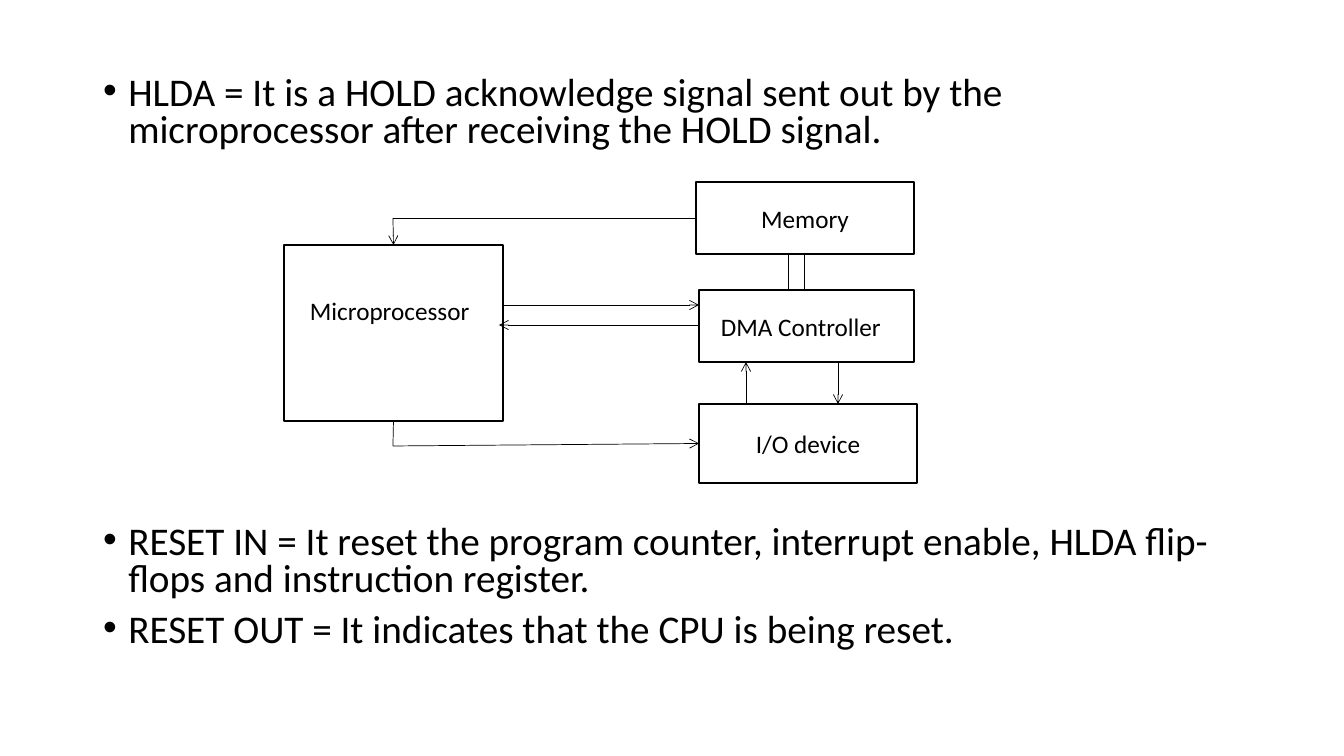
from lxml.etree import SubElement
from pptx import Presentation
from pptx.dml.color import RGBColor
from pptx.enum.shapes import MSO_CONNECTOR as Connector, MSO_SHAPE as Shape
from pptx.enum.text import MSO_ANCHOR as Anchor, MSO_AUTO_SIZE as AutoSize, PP_ALIGN as Align
from pptx.oxml.ns import qn
from pptx.util import Emu, Pt

EMU_PER_PX = 914400 / 100.8
FONT = "Calibri"
COLORS = {"ink": "000000", "paper": "FFFFFF"}
TOP, LEFT, BOTTOM = 0, 1, 2

# Text and space before in points; the large space leaves room for the diagram.
SIGNALS = [
    ("HLDA = It is a HOLD acknowledge signal sent out by the microprocessor "
     "after receiving the HOLD signal.", 0),
    ("RESET IN = It reset the program counter, interrupt enable, HLDA "
     "flip-flops and instruction register.", 267),
    ("RESET OUT = It indicates that the CPU is being reset.", 9),
]


def px(value):
    return Emu(round(value * EMU_PER_PX))


def color(name):
    return RGBColor.from_string(COLORS[name])


def format_runs(paragraph, size):
    for run in paragraph.runs:
        run.font.name = FONT
        run.font.size = Pt(size)
        run.font.color.rgb = color("ink")


def fill_body(body):
    body.left, body.top, body.width, body.height = px(93), px(71), px(1159), px(610)
    frame = body.text_frame
    frame.auto_size = AutoSize.NONE
    frame.text = "\n".join(text for text, _ in SIGNALS)
    for paragraph, (_, space) in zip(frame.paragraphs, SIGNALS):
        paragraph.line_spacing = 0.8
        paragraph.space_before = Pt(space)
        properties = paragraph._p.get_or_add_pPr()
        properties.set("marL", "228600")
        properties.set("indent", "-228600")
        format_runs(paragraph, 28)


def add_block(slide, label, left, top, width, height):
    block = slide.shapes.add_shape(Shape.RECTANGLE, px(left), px(top), px(width), px(height))
    block.shadow.inherit = False
    block.fill.solid()
    block.fill.fore_color.rgb = color("paper")
    block.line.color.rgb = color("ink")
    block.line.width = Pt(1)
    frame = block.text_frame
    frame.text = label
    frame.vertical_anchor = Anchor.MIDDLE
    frame.paragraphs[0].alignment = Align.CENTER
    format_runs(frame.paragraphs[0], 18)
    return block


def offset_label(block, left, top=None):
    """Left-align the label at the given inset, hung from the top if one is given."""
    frame = block.text_frame
    frame.paragraphs[0].alignment = Align.LEFT
    frame.margin_left = px(left)
    frame.margin_right = 0
    if top is not None:
        frame.vertical_anchor = Anchor.TOP
        frame.margin_top = px(top)


def add_wire(slide, start, end, arrow=False, begin_at=None, end_at=None):
    """Draw a line; begin_at and end_at are (block, side) pairs to join."""
    wire = slide.shapes.add_connector(Connector.STRAIGHT, *map(px, start + end))
    if begin_at:
        wire.begin_connect(*begin_at)
    if end_at:
        wire.end_connect(*end_at)
    wire.line.color.rgb = color("ink")
    wire.line.width = Pt(0.5)
    if arrow:
        SubElement(wire.line._get_or_add_ln(), qn("a:tailEnd"), type="arrow")
    SubElement(wire._element.spPr, qn("a:effectLst"))


def add_diagram(slide):
    processor = add_block(slide, "Microprocessor", 284, 245, 219, 176)
    device = add_block(slide, "I/O device", 699, 404, 218, 79)
    controller = add_block(slide, "DMA Controller", 699, 290, 215, 72)
    memory = add_block(slide, "Memory", 696, 182, 218, 72)
    offset_label(processor, 26, 50)
    offset_label(controller, 22)

    add_wire(slide, (503, 305), (699, 305), arrow=True)
    add_wire(slide, (699, 325), (499, 325), arrow=True)
    add_wire(slide, (838, 362), (838, 404), arrow=True)
    add_wire(slide, (746, 404), (746, 362), arrow=True)
    for bus_x in (788, 804):
        add_wire(slide, (bus_x, 254), (bus_x, 290))

    memory_corner, device_corner = (393, 218), (393, 446)
    add_wire(slide, (696, 218), memory_corner, begin_at=(memory, LEFT))
    add_wire(slide, memory_corner, (393, 245), arrow=True, end_at=(processor, TOP))
    add_wire(slide, (393, 421), device_corner, begin_at=(processor, BOTTOM))
    add_wire(slide, device_corner, (699, 443), arrow=True, end_at=(device, LEFT))


def main():
    presentation = Presentation()
    presentation.slide_width, presentation.slide_height = px(1344), px(756)
    slide = presentation.slides.add_slide(presentation.slide_layouts[1])
    title = slide.shapes.title._element
    title.getparent().remove(title)
    fill_body(slide.placeholders[1])
    add_diagram(slide)
    presentation.save("out.pptx")


if __name__ == "__main__":
    main()
